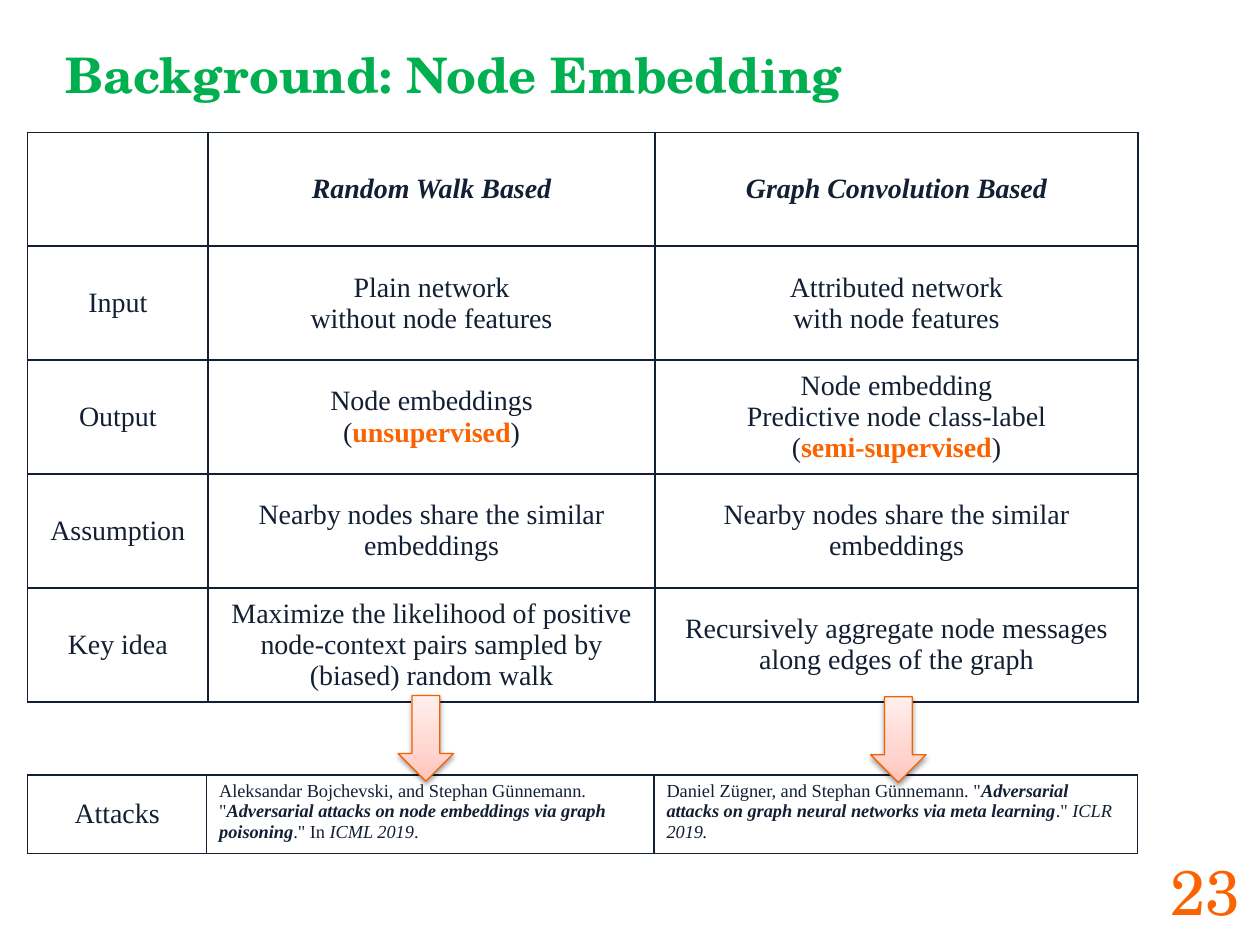
from copy import deepcopy

from lxml import etree
from pptx import Presentation
from pptx.dml.color import RGBColor
from pptx.enum.shapes import MSO_SHAPE
from pptx.enum.text import MSO_ANCHOR, PP_ALIGN
from pptx.oxml import parse_xml
from pptx.oxml.ns import qn
from pptx.util import Inches, Pt

CENTER, LEFT = PP_ALIGN.CENTER, PP_ALIGN.LEFT
MIDDLE, TOP = MSO_ANCHOR.MIDDLE, MSO_ANCHOR.TOP
DOWN_ARROW = MSO_SHAPE.DOWN_ARROW

DISPLAY_FONT, BODY_FONT = "TeX Gyre Schola", "Times New Roman"
GREEN, ORANGE, NAVY, ARROW_EDGE = "00B050", "FA6300", "131F33", "F46100"
ARROW_STOPS = [(0, "FFC4BA"), (0.35, "FFD5CF"), (1, "FFEFED")]
DRAWING_NS = "http://schemas.openxmlformats.org/drawingml/2006/main"

# A cell is a list of paragraphs; a paragraph is a list of (text, style) runs.
# Style letters: b bold, i italic, o orange.
COMPARISON = [
    [[], [[("Random Walk Based", "bi")]], [[("Graph Convolution Based", "bi")]]],
    [[[("Input", "")]],
     [[("Plain network", "")], [("without node features", "")]],
     [[("Attributed network", "")], [("with node features", "")]]],
    [[[("Output", "")]],
     [[("Node embeddings", "")],
      [("(", ""), ("unsupervised", "bo"), (")", "")]],
     [[("Node embedding", "")], [("Predictive node class-label", "")],
      [("(", ""), ("semi-supervised", "bo"), (")", "")]]],
    [[[("Assumption", "")]]]
    + [[[("Nearby nodes share the similar embeddings", "")]]] * 2,
    [[[("Key idea", "")]],
     [[("Maximize the likelihood of positive node-context pairs "
        "sampled by (biased) random walk", "")]],
     [[("Recursively aggregate node messages along edges of the graph", "")]]],
]
ATTACKS_LABEL = [[("Attacks", "")]]
ATTACK_PAPERS = [
    [[('Aleksandar Bojchevski, and Stephan Günnemann. "', ""),
      ("Adversarial attacks on node embeddings via graph poisoning", "bi"),
      ('." In ', ""), ("ICML 2019", "i"), (".", "")]],
    [[('Daniel Zügner, and Stephan Günnemann. "', ""),
      ("Adversarial attacks on graph neural networks via meta learning", "bi"),
      ('." ', ""), ("ICLR 2019.", "i")]],
]


def rgb(hex_color):
    return RGBColor.from_string(hex_color)


def style_font(font, name, size, color):
    font.name = name
    font.size = Pt(size)
    font.color.rgb = rgb(color)


def add_label(slide, box, text, size, color, bold=False, align=LEFT, anchor=TOP):
    frame = slide.shapes.add_textbox(*map(Inches, box)).text_frame
    frame.word_wrap = True
    frame.vertical_anchor = anchor
    paragraph = frame.paragraphs[0]
    paragraph.text = text
    paragraph.alignment = align
    style_font(paragraph.font, DISPLAY_FONT, size, color)
    paragraph.font.bold = bold


def outline_cell(cell):
    properties = cell._tc.get_or_add_tcPr()
    for position, side in enumerate(("lnL", "lnR", "lnT", "lnB")):
        line = parse_xml(
            f'<a:{side} xmlns:a="{DRAWING_NS}" w="{Pt(1)}"><a:solidFill>'
            f'<a:srgbClr val="{NAVY}"/></a:solidFill></a:{side}>')
        properties.insert(position, line)


def fill_cell(cell, paragraphs, size=16, align=CENTER, anchor=MIDDLE):
    cell.fill.background()
    outline_cell(cell)
    cell.vertical_anchor = anchor
    frame = cell.text_frame
    for index, runs in enumerate(paragraphs):
        paragraph = frame.add_paragraph() if index else frame.paragraphs[0]
        paragraph.alignment = align
        style_font(paragraph.font, BODY_FONT, size, NAVY)
        for text, style in runs:
            run = paragraph.add_run()
            run.text = text
            style_font(run.font, BODY_FONT, size, ORANGE if "o" in style else NAVY)
            run.font.bold = "b" in style
            run.font.italic = "i" in style


def add_grid(slide, top, row_count, row_height, widths):
    table = slide.shapes.add_table(
        row_count, len(widths), Inches(0.22), Inches(top),
        Inches(sum(widths)), Inches(row_count * row_height)).table
    table.first_row = False
    table.horz_banding = False
    for column, width in zip(table.columns, widths):
        column.width = Inches(width)
    for row in table.rows:
        row.height = Inches(row_height)
    return table


def add_down_arrow(slide, left, top):
    arrow = slide.shapes.add_shape(
        DOWN_ARROW, Inches(left), Inches(top), Inches(0.44), Inches(0.68))
    arrow.line.color.rgb = rgb(ARROW_EDGE)
    arrow.line.width = Pt(0.75)

    arrow.fill.gradient()
    arrow.fill.gradient_angle = 90
    properties = arrow._element.spPr
    stop_list = properties.find(f".//{qn('a:gsLst')}")
    stop_list.append(deepcopy(stop_list[0]))
    for stop, (position, color) in zip(arrow.fill.gradient_stops, ARROW_STOPS):
        stop.position = position
        stop.color.rgb = rgb(color)

    arrow.shadow.inherit = False
    shadow = etree.SubElement(
        properties.find(qn("a:effectLst")), qn("a:outerShdw"),
        blurRad=str(Pt(3.1)), dist=str(Pt(1.6)), dir="5400000", rotWithShape="0")
    shadow_color = etree.SubElement(shadow, qn("a:srgbClr"), val="000000")
    etree.SubElement(shadow_color, qn("a:alpha"), val="38000")


def main():
    deck = Presentation()
    deck.slide_width, deck.slide_height = Inches(10), Inches(7.5)
    slide = deck.slides.add_slide(deck.slide_layouts[6])

    add_label(slide, (0.42, 0.3, 7.7, 1.25), "Background: Node Embedding",
              28, GREEN, bold=True)
    add_label(slide, (9.14, 6.73, 0.85, 0.67), "23", 36, ORANGE,
              align=CENTER, anchor=MIDDLE)

    comparison = add_grid(slide, 1.05, len(COMPARISON), 4.52 / 5, (1.43, 3.55, 3.83))
    for row, contents in zip(comparison.rows, COMPARISON):
        for cell, paragraphs in zip(row.cells, contents):
            fill_cell(cell, paragraphs)

    attacks = add_grid(slide, 6.15, 1, 0.59, (1.42, 3.55, 3.84))
    fill_cell(attacks.cell(0, 0), ATTACKS_LABEL)
    for column, paper in enumerate(ATTACK_PAPERS, start=1):
        fill_cell(attacks.cell(0, column), paper, 10.5, LEFT, TOP)

    for left, top in ((3.16, 5.52), (6.91, 5.53)):
        add_down_arrow(slide, left, top)

    deck.save("out.pptx")


if __name__ == "__main__":
    main()
